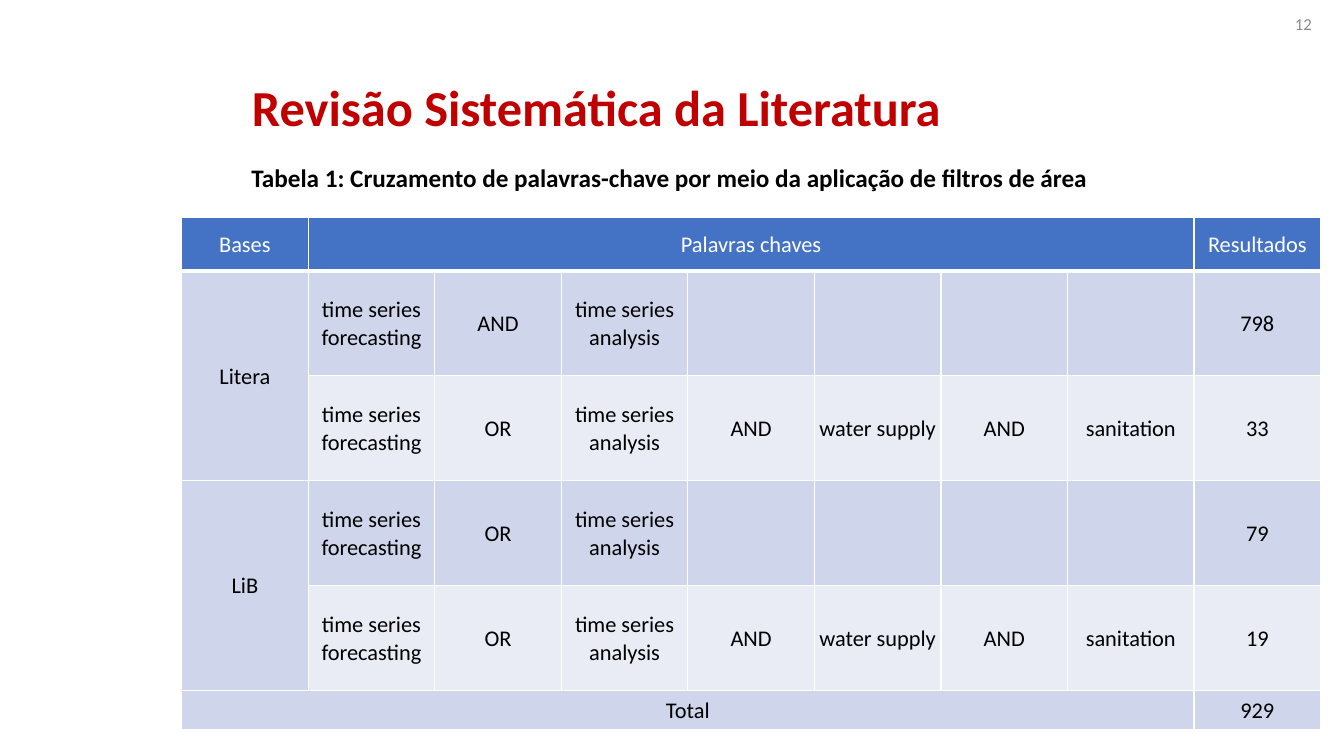
import pptx
import pptx.util
import pptx.dml.color
import pptx.enum.text
import pptx.oxml
import pptx.oxml.ns

RGB = pptx.dml.color.RGBColor
ALIGN = pptx.enum.text.PP_ALIGN
ANCHOR = pptx.enum.text.MSO_ANCHOR

PX = 9525
FONT = "Calibri"
WHITE = RGB(0xFF, 0xFF, 0xFF)
BLACK = RGB(0, 0, 0)
RED = RGB(0xC0, 0, 0)
GREY = RGB(0x8C, 0x8C, 0x8C)
BLUE = RGB(0x44, 0x72, 0xC4)
DARK = RGB(0xCF, 0xD5, 0xEA)
LIGHT = RGB(0xE9, 0xEB, 0xF5)

SERIES = ["time series forecasting", "OR", "time series analysis"]
WATER = ["AND", "water supply", "AND", "sanitation"]
BLANK = [""] * 4
ROWS = [
    ["Bases", "Palavras chaves"] + [""] * 6 + ["Resultados"],
    ["Litera", SERIES[0], "AND", SERIES[2], *BLANK, "798"],
    ["", *SERIES, *WATER, "33"],
    ["LiB", *SERIES, *BLANK, "79"],
    ["", *SERIES, *WATER, "19"],
    ["Total"] + [""] * 7 + ["929"],
]
HEIGHTS = [51, 100, 100, 100, 100, 37]
FILLS = [BLUE, DARK, LIGHT, DARK, LIGHT, DARK]
SPANS = [(0, 1, 0, 7), (1, 0, 2, 0), (3, 0, 4, 0), (5, 0, 5, 7)]


def px(*sizes):
    return [pptx.util.Emu(size * PX) for size in sizes]


def write(frame, text, size, color, bold=False, align=ALIGN.LEFT):
    frame.text = text
    frame.word_wrap = True
    para = frame.paragraphs[0]
    para.alignment = align
    font = para.font
    for run in para.runs:
        font = run.font
    font.name = FONT
    font.size = pptx.util.Pt(size)
    font.bold = bold
    font.color.rgb = color


def add_title(slide, text):
    title = slide.shapes.title
    title.left, title.top, title.width, title.height = px(240, 60, 800, 70)
    frame = title.text_frame
    write(frame, text, 36, RED, True)
    frame.margin_left = frame.margin_right = 0
    frame.margin_top = frame.margin_bottom = 0
    frame.vertical_anchor = ANCHOR.BOTTOM
    frame.paragraphs[0].line_spacing = 0.8


def add_label(slide, box, text, *style):
    frame = slide.shapes.add_textbox(*px(*box)).text_frame
    write(frame, text, *style)
    frame.vertical_anchor = ANCHOR.MIDDLE


def add_edges(cell, base):
    """Draw white cell borders, with the bottom one base points wide."""
    props = cell._tc.get_or_add_tcPr()
    for side, width in (("L", 1), ("R", 1), ("T", 1), ("B", base)):
        props.append(pptx.oxml.parse_xml(
            f'<a:ln{side} {pptx.oxml.ns.nsdecls("a")} w="{width * 12700}">'
            f'<a:solidFill><a:srgbClr val="{WHITE}"/></a:solidFill></a:ln{side}>'))


def style_cell(cell, text, head, fill):
    write(cell.text_frame, text, 16, WHITE if head else BLACK, align=ALIGN.CENTER)
    cell.vertical_anchor = ANCHOR.MIDDLE
    cell.margin_left, cell.margin_right, cell.margin_top, cell.margin_bottom = px(1, 1, 1, 0)
    add_edges(cell, 3 if head else 1)
    cell.fill.solid()
    cell.fill.fore_color.rgb = fill


def add_grid(slide):
    count = len(ROWS[0])
    box = px(173, 207, 1085, sum(HEIGHTS))
    table = slide.shapes.add_table(len(ROWS), count, *box).table
    for col in table.columns:
        col.width = box[2] // count
    for r, (texts, high, fill) in enumerate(zip(ROWS, HEIGHTS, FILLS)):
        table.rows[r].height = px(high)[0]
        for c, text in enumerate(texts):
            style_cell(table.cell(r, c), text, r == 0, fill)
    for top, left, bottom, right in SPANS:
        table.cell(top, left).merge(table.cell(bottom, right))


def main():
    deck = pptx.Presentation()
    deck.slide_width, deck.slide_height = px(1280, 720)
    slide = deck.slides.add_slide(deck.slide_layouts[5])
    add_title(slide, "Revisão Sistemática da Literatura")
    add_label(slide, (971, 4, 288, 38), "12", 12, GREY, False, ALIGN.RIGHT)
    add_grid(slide)
    add_label(slide, (230, 150, 819, 38),
              "Tabela 1: Cruzamento de palavras-chave por meio da aplicação de filtros de área",
              18, BLACK, True)
    deck.save("out.pptx")


if __name__ == "__main__":
    main()
